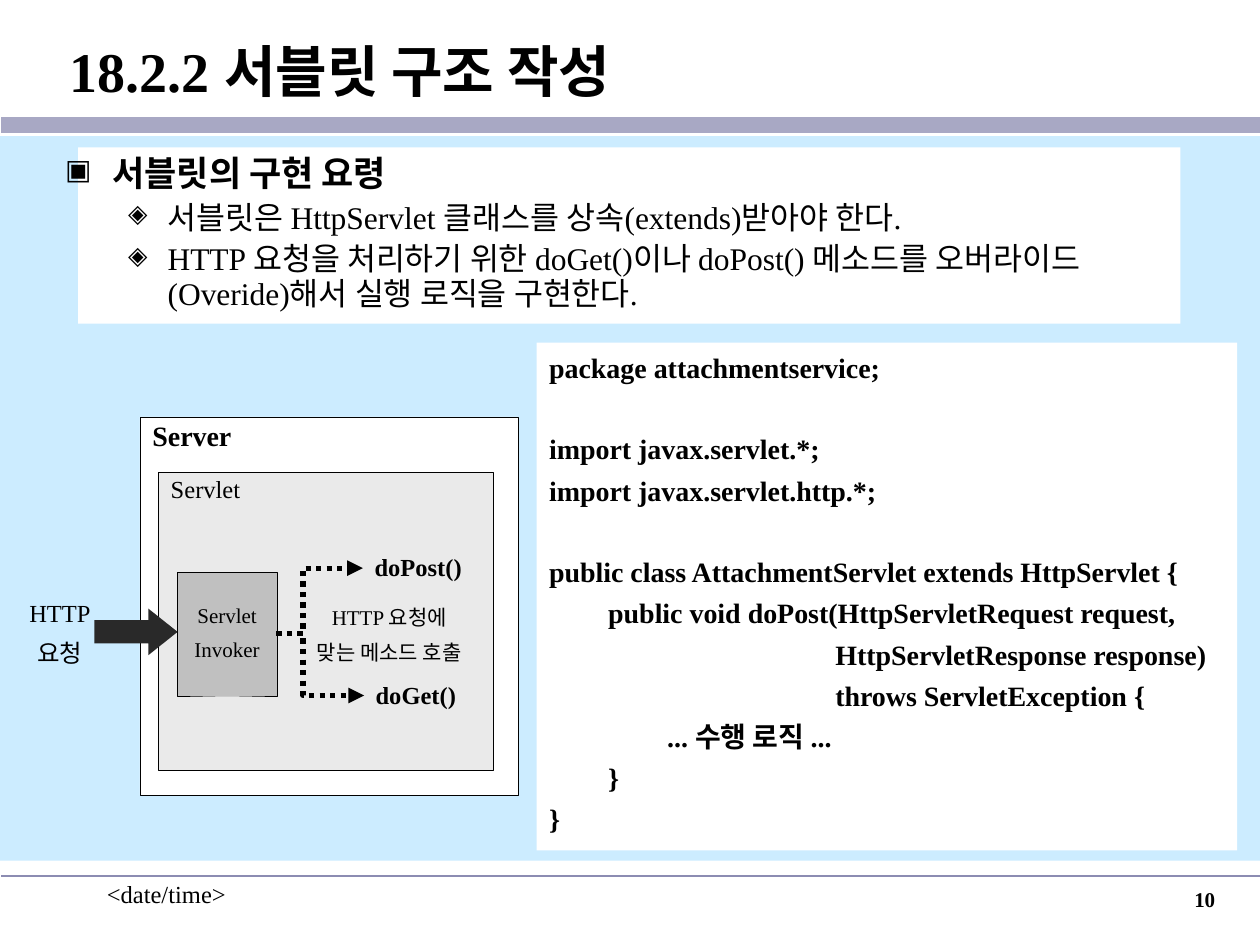
"""Build the slide on writing the structure of a servlet."""
from lxml.etree import SubElement
from pptx import Presentation
from pptx.dml.color import RGBColor
from pptx.enum.dml import MSO_LINE
from pptx.enum.shapes import MSO_CONNECTOR, MSO_SHAPE
from pptx.enum.text import MSO_ANCHOR, PP_ALIGN
from pptx.oxml.ns import qn
from pptx.util import Pt

COLORS = {
    "black": "000000", "white": "FFFFFF", "sky": "CCECFF", "lavender": "A8A8C4",
    "footer": "8C8CB2", "panel": "EAEAEA", "box": "C0C0C0", "arrow": "292929",
}
FONT = "Times New Roman"
TAB = 33.75
LABEL = {"line_spacing": 0.85}
CENTERED = {**LABEL, "alignment": PP_ALIGN.CENTER}
CODE = [
    ("package attachmentservice;", 0),
    ("import javax.servlet.*;", 33.4),
    ("import javax.servlet.http.*;", 10),
    ("public class AttachmentServlet extends HttpServlet {", 33.4),
    ("\tpublic void doPost(HttpServletRequest request,", 10),
    ("                                         HttpServletResponse response)", 10),
    ("                                         throws ServletException {", 10),
    ("\t\t... 수행 로직 ...", 10),
    ("\t}", 10),
    ("}", 10),
]
BULLETS = [
    ("서블릿의 구현 요령", 0, 0),
    ("서블릿은 HttpServlet 클래스를 상속(extends)받아야 한다.", 1, 4.5),
    ("HTTP 요청을 처리하기 위한 doGet()이나 doPost() 메소드를 "
     "오버라이드(Overide)해서 실행 로직을 구현한다.", 1, 4.5),
]
BULLET_LEVELS = [
    {"char": "▣", "margin": 27, "indent": -27, "size": 20, "bold": True},
    {"char": "◈", "margin": 58.5, "indent": -22.5, "size": 18, "bold": False},
]


def rgb(name):
    return RGBColor.from_string(COLORS[name])


def set_all(target, values):
    for name, value in values.items():
        setattr(target, name, value)


def add_box(s, at, fill, line=None, kind=MSO_SHAPE.RECTANGLE):
    sp = s.shapes.add_shape(kind, *map(Pt, at))
    sp.shadow.inherit = False
    sp.fill.solid()
    sp.fill.fore_color.rgb = rgb(fill)
    if line:
        sp.line.color.rgb = rgb(line)
        sp.line.width = Pt(0.25)
    else:
        sp.line.fill.background()
    return sp


def add_textbox(s, at):
    return s.shapes.add_textbox(*map(Pt, at))


def setup_frame(sp, wrap=True, anchor=MSO_ANCHOR.TOP, left=7.2):
    tf = sp.text_frame
    set_all(tf, {"word_wrap": wrap, "vertical_anchor": anchor, "margin_left": Pt(left),
                 "margin_right": Pt(7.2), "margin_top": Pt(3.6), "margin_bottom": Pt(3.6)})
    return tf


def next_paragraph(tf):
    return tf.add_paragraph() if tf.paragraphs[0].runs else tf.paragraphs[0]


def write(p, text, size, bold=False, before=0, **style):
    set_all(p, {"alignment": PP_ALIGN.LEFT, "space_before": Pt(before), **style})
    r = p.add_run()
    r.text = text
    set_all(r.font, {"name": FONT, "size": Pt(size), "bold": bold})
    r.font.color.rgb = rgb("black")


def add_label(sp, lines, size, bold=False, before=0, style=LABEL, **frame):
    tf = setup_frame(sp, **frame)
    for i, text in enumerate(lines):
        write(next_paragraph(tf), text, size, bold, before if i else 0, **style)


def add_bullets(s, at):
    tf = setup_frame(add_textbox(s, at))
    for text, level, before in BULLETS:
        look = BULLET_LEVELS[level]
        p = next_paragraph(tf)
        pPr = p._p.get_or_add_pPr()
        pPr.set("marL", str(Pt(look["margin"])))
        pPr.set("indent", str(Pt(look["indent"])))
        color = SubElement(pPr, qn("a:buClr"))
        SubElement(color, qn("a:srgbClr"), val=COLORS["black"])
        SubElement(pPr, qn("a:buSzPct"), val="80000")
        SubElement(pPr, qn("a:buChar"), char=look["char"])
        write(p, text, look["size"], look["bold"], before, level=level, line_spacing=0.9)


def add_code(s, at):
    tf = setup_frame(add_box(s, at, "white"), anchor=MSO_ANCHOR.MIDDLE)
    for text, before in CODE:
        p = next_paragraph(tf)
        tabs = SubElement(p._p.get_or_add_pPr(), qn("a:tabLst"))
        for i in range(1, 8):
            SubElement(tabs, qn("a:tab"), pos=str(Pt(TAB * i)), algn="l")
        write(p, text, 16, True, before, line_spacing=0.7)


def add_line(s, ends, color, width, kind=MSO_CONNECTOR.STRAIGHT):
    cxn = s.shapes.add_connector(kind, *map(Pt, ends))
    cxn.line.color.rgb = rgb(color)
    cxn.line.width = Pt(width)
    SubElement(cxn._element.spPr, qn("a:effectLst"))
    return cxn


def add_branch(s, ends, bend):
    cxn = add_line(s, ends, "black", 3, MSO_CONNECTOR.ELBOW)
    cxn.line.dash_style = MSO_LINE.ROUND_DOT
    SubElement(cxn.line._get_or_add_ln(), qn("a:tailEnd"), type="triangle")
    geom = cxn._element.spPr.find(qn("a:prstGeom"))
    SubElement(geom.find(qn("a:avLst")), qn("a:gd"), name="adj1", fmla=f"val {bend}")


def add_frame(s):
    add_label(add_textbox(s, (54, 499, 150, 36)), ["<date/time>"], 14, style={})
    add_line(s, (0.7, 71.3, 720, 71.3), "lavender", 9.25)
    add_line(s, (0.7, 500.4, 720, 500.4), "footer", 1)
    add_box(s, (0, 77.8, 720, 414), "sky")
    add_box(s, (44.6, 84.2, 630, 100.8), "white")
    add_label(add_textbox(s, (0.7, 7.9, 719.3, 64.8)), ["18.2.2 서블릿 구조 작성"], 32, True,
              style={}, anchor=MSO_ANCHOR.MIDDLE, left=39.2)
    add_label(add_textbox(s, (551.5, 503.3, 150, 36)), ["10"], 12, True,
              style={"alignment": PP_ALIGN.RIGHT})


def add_diagram(s):
    add_label(add_box(s, (80, 238.3, 216, 216), "white", "black"), ["Server"], 16, True)
    add_label(add_box(s, (90.5, 270, 191.5, 170), "panel", "black"), ["Servlet"], 14)
    add_label(add_box(s, (101.4, 327, 56.8, 70.6), "box", "black"), ["Servlet", "Invoker"], 12,
              before=7.5, style=CENTERED, wrap=False, anchor=MSO_ANCHOR.MIDDLE)
    for end, bend in (((207.4, 324.7), 31000), ((208.1, 397.4), 30300)):
        add_branch(s, (157.9, 362, *end), bend)
    arrow = add_box(s, (54, 347.8, 47.5, 26.6), "arrow", kind=MSO_SHAPE.RIGHT_ARROW)
    arrow.adjustments[1] = 0.627
    for at, lines, size, bold, before in (
        ((206.6, 314.6, 64.8, 21.6), ["doPost()"], 14, True, 0),
        ((207.4, 387.4, 60.5, 21.6), ["doGet()"], 14, True, 0),
        ((9.4, 340.6, 49.7, 44.6), ["HTTP", "요청"], 14, False, 8.8),
        ((169.9, 344.2, 105.1, 39.6), ["HTTP 요청에", "맞는 메소드 호출"], 12, False, 7.5),
    ):
        add_label(add_textbox(s, at), lines, size, bold, before, CENTERED, wrap=False)


def main():
    prs = Presentation()
    set_all(prs, {"slide_width": Pt(720), "slide_height": Pt(540)})
    s = prs.slides.add_slide(prs.slide_layouts[6])
    add_frame(s)
    add_bullets(s, (30.2, 85.7, 659.5, 99.4))
    add_diagram(s)
    add_code(s, (306.7, 195.8, 400.3, 290.2))
    prs.save("out.pptx")


if __name__ == "__main__":
    main()
